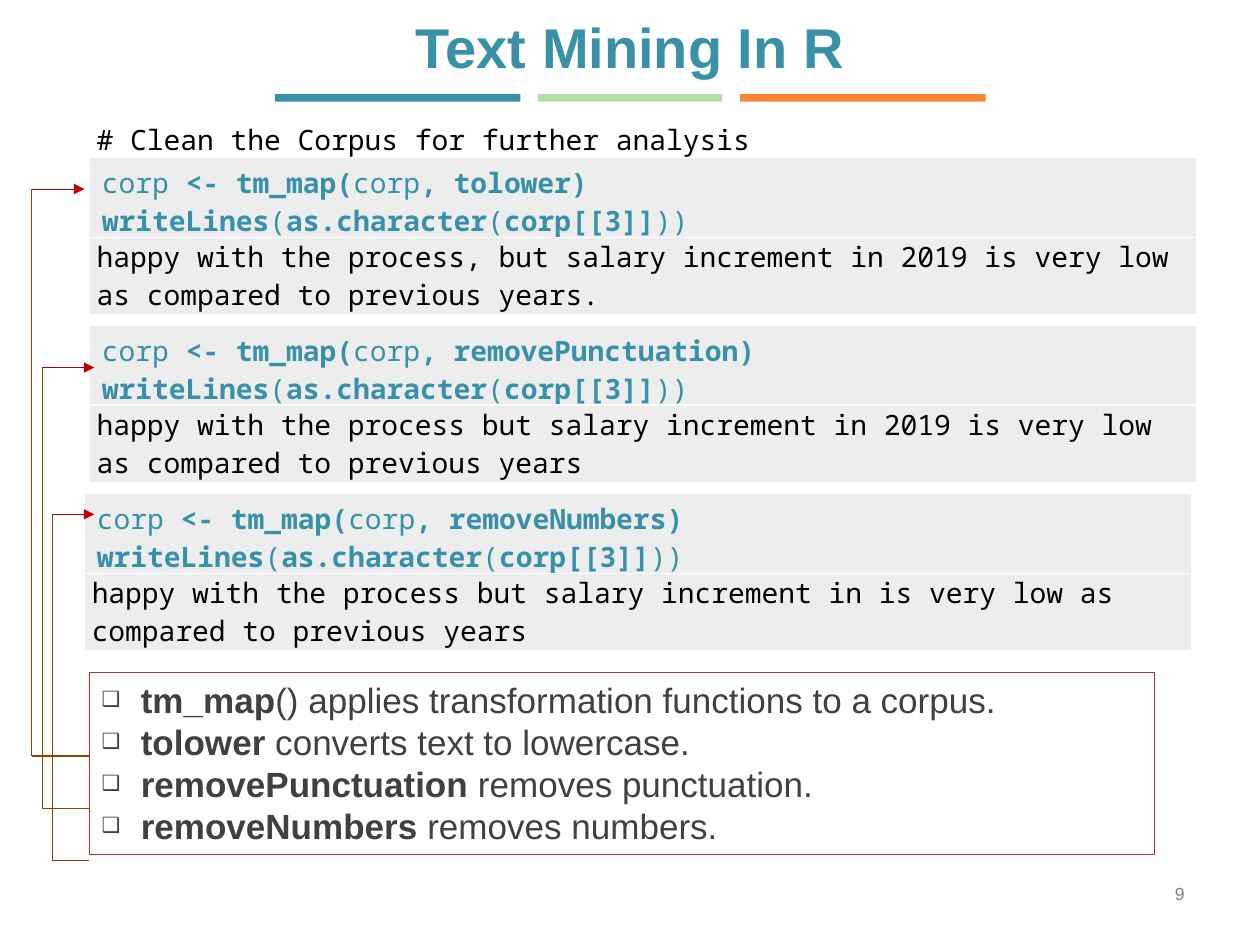
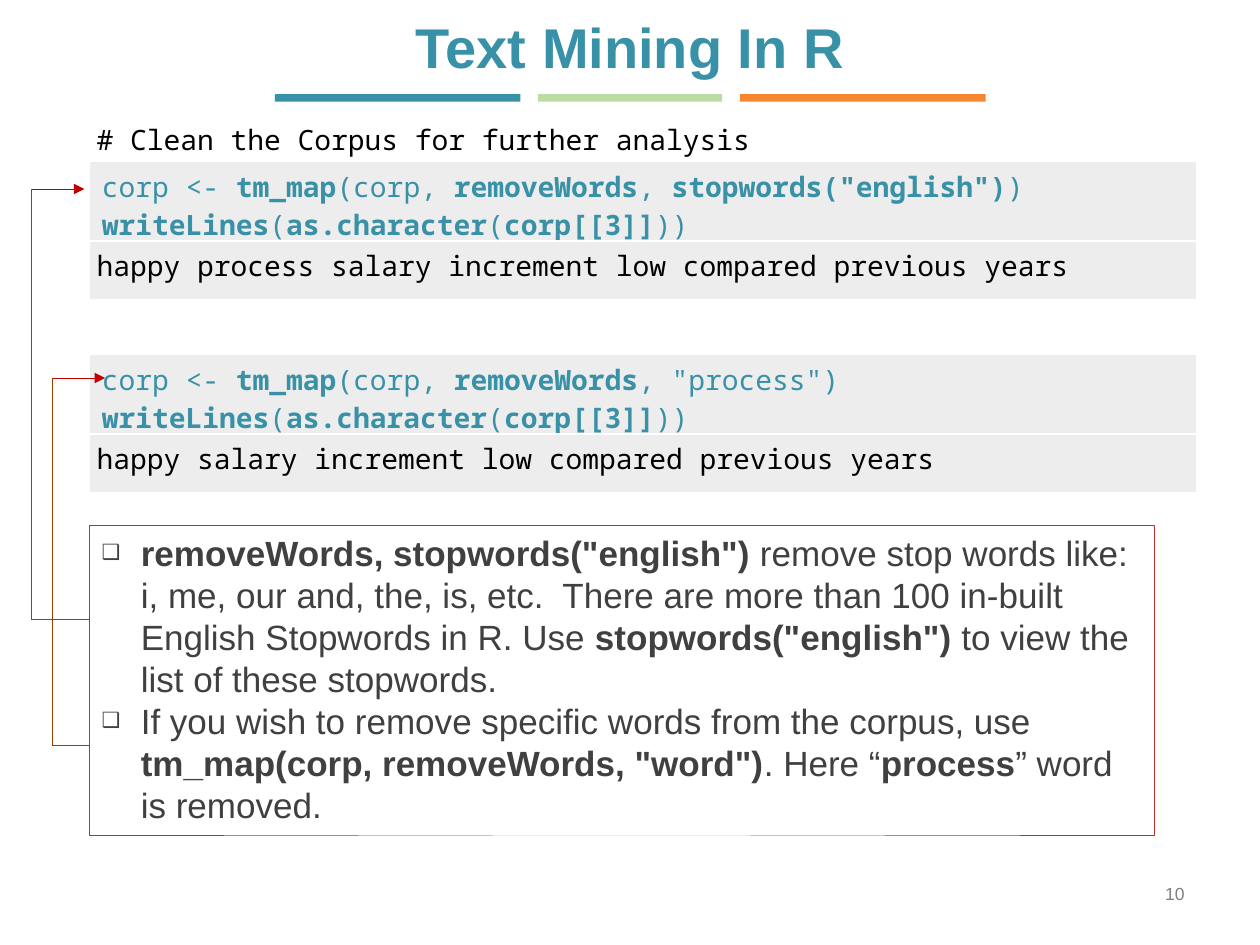
"""Build two slides on cleaning a text corpus in R."""
from lxml import etree
from pptx import Presentation
from pptx.dml.color import RGBColor
from pptx.enum.shapes import MSO_CONNECTOR, MSO_SHAPE
from pptx.enum.text import MSO_ANCHOR, MSO_AUTO_SIZE, PP_ALIGN
from pptx.oxml.ns import qn
from pptx.util import Cm, Pt

RECT = MSO_SHAPE.RECTANGLE
LINE = MSO_CONNECTOR.STRAIGHT
TOP, MID = MSO_ANCHOR.TOP, MSO_ANCHOR.MIDDLE
LEFT, RIGHT, CENTER = PP_ALIGN.LEFT, PP_ALIGN.RIGHT, PP_ALIGN.CENTER
GROW = MSO_AUTO_SIZE.SHAPE_TO_FIT_TEXT


class Theme:
    teal = RGBColor.from_string("3891A7")
    green = RGBColor.from_string("BBDDA3")
    orange = RGBColor.from_string("F88631")
    white = RGBColor.from_string("FFFFFF")
    black = RGBColor.from_string("000000")
    gray = RGBColor.from_string("808080")
    dark = RGBColor.from_string("404040")
    cell = RGBColor.from_string("A6A6A6")
    frame = RGBColor.from_string("C32D2E")
    arrow = RGBColor.from_string("C00000")
    brown = RGBColor.from_string("964101")
    title = {"name": "Arial", "size": Pt(32)}
    body = {"name": "Arial", "size": Pt(20)}
    page = {"name": "Arial", "size": Pt(10)}
    code = {"name": "Noto Sans Mono", "size": Pt(16)}


def add(node, tag, **attrs):
    """Append a drawing element to a node."""
    return etree.SubElement(node, qn(tag), attrs)


def write(frame, lines, form, color, align=LEFT, bullet=None):
    """Fill a text frame; asterisks switch bold on and off."""
    for num, line in enumerate(lines):
        para = frame.add_paragraph() if num else frame.paragraphs[0]
        para.alignment = align
        if bullet:
            props = para._p.get_or_add_pPr()
            props.set("marL", str(Cm(0.79)))
            props.set("indent", str(Cm(-0.79)))
            add(props, "a:buSzPct", val="60000")
            add(props, "a:buFont", typeface="Arial")
            add(props, "a:buChar", char=bullet)
        for part, text in enumerate(line.split("*")):
            if text:
                run = para.add_run()
                run.text = text
                for key, val in {**form, "bold": part % 2 == 1}.items():
                    setattr(run.font, key, val)
                run.font.color.rgb = color


HEAD = "Text Mining In R"
NOTE = "# Clean the Corpus for further analysis"
PRINT = "*writeLines*(*as.character*(*corp[[3]]*))"
EDGE = 1.8
WIDE = 22.33
ROW = 1.19

pages = [
    {
        "page": "9",
        "high": 3.18,
        "code": [
            (EDGE, 3.18, "corp *<- tm_map(*corp*, tolower)*",
             "happy with the process, but salary increment in 2019 is very low "
             "as compared to previous years."),
            (EDGE, 6.56, "corp *<- tm_map(*corp*, removePunctuation)*",
             "happy with the process but salary increment in 2019 is very low "
             "as compared to previous years"),
            (1.7, 9.95, "corp *<- tm_map(*corp*, removeNumbers)*",
             "happy with the process but salary increment in is very low "
             "as compared to previous years"),
        ],
        "box": (13.55, 3.68),
        "list": [
            "*tm_map*() applies transformation functions to a corpus.",
            "*tolower* converts text to lowercase.",
            "*removePunctuation* removes punctuation.",
            "*removeNumbers* removes numbers.",
        ],
        "links": [(0.64, 3.81, 1.7, 15.24), (0.85, 7.41, 1.9, 16.3),
                  (1.06, 10.37, 1.9, 17.35)],
    },
    {
        "page": "10",
        "high": 2.79,
        "code": [
            (EDGE, 3.25,
             'corp <- *tm_map*(corp, *removeWords*, *stopwords("english")*)',
             "happy process salary increment low compared previous years"),
            (EDGE, 7.14, 'corp <- *tm_map*(corp, *removeWords*, "process")',
             "happy salary increment low compared previous years"),
        ],
        "box": (10.58, 6.25),
        "list": [
            '*removeWords, stopwords("english") *remove stop words like: '
            "i, me, our and, the, is, etc.  There are more than 100 in-built "
            'English Stopwords in R. Use *stopwords("english") *to view the '
            "list of these stopwords.",
            "If you wish to remove specific words from the corpus, use "
            '*tm_map(corp, removeWords, "word")*. Here “*process*” word '
            "is removed.",
        ],
        "links": [(0.64, 3.81, 1.7, 12.49), (1.06, 7.62, 2.12, 15.03)],
    },
]

deck = Presentation()
deck.slide_width, deck.slide_height = Cm(25.4), Cm(19.05)

for page in pages:
    shapes = deck.slides.add_slide(deck.slide_layouts[6]).shapes

    labels = [
        ((1.27, -0.2, 22.86, 2.26), f"*{HEAD}*", Theme.title, Theme.teal, CENTER, MID),
        ((18.21, 17.35, 5.92, 1.32), page["page"], Theme.page, Theme.gray, RIGHT, MID),
        ((1.7, 2.34, 21.79, 0.94), NOTE, Theme.code, Theme.black, LEFT, TOP),
    ]
    for area, text, form, color, align, anchor in labels:
        frame = shapes.add_textbox(*map(Cm, area)).text_frame
        frame.word_wrap = True
        frame.vertical_anchor = anchor
        write(frame, [text], form, color, align)

    left = 5.54
    for width, color in ((4.95, Theme.teal), (3.71, Theme.green), (4.95, Theme.orange)):
        bar = shapes.add_shape(RECT, Cm(left), Cm(1.9), Cm(width), Cm(0.15))
        bar.shadow.inherit = False
        bar.fill.solid()
        bar.fill.fore_color.rgb = color
        bar.line.fill.background()
        left += width + 0.36

    for left, top, call, result in page["code"]:
        grid = shapes.add_table(2, 1, Cm(left), Cm(top), Cm(WIDE), Cm(page["high"]))
        table = grid.table
        table.first_row = table.horz_banding = False
        for row in table.rows:
            row.height = Cm(ROW)
        grid.height = Cm(page["high"])
        code, out = table.cell(0, 0), table.cell(1, 0)
        write(code.text_frame, [call, PRINT], Theme.code, Theme.teal)
        write(out.text_frame, [result], Theme.code, Theme.black)
        margins = {"margin_left": 0.15, "margin_top": 0,
                   "margin_right": 0, "margin_bottom": 0.2}
        for key, val in margins.items():
            setattr(out, key, Cm(val))
        for cell in (code, out):
            cell.vertical_anchor = MID
            props = cell._tc.get_or_add_tcPr()
            for side in ("a:lnL", "a:lnR", "a:lnT", "a:lnB"):
                edge = add(props, side, w=str(Pt(1)))
                add(add(edge, "a:solidFill"), "a:srgbClr", val=str(Theme.white))
            cell.fill.solid()
            cell.fill.fore_color.rgb = Theme.cell
            tint = props.find(qn("a:solidFill")).find(qn("a:srgbClr"))
            add(tint, "a:alpha", val="20000")

    top, high = page["box"]
    box = shapes.add_shape(RECT, Cm(EDGE), Cm(top), Cm(21.46), Cm(high))
    box.shadow.inherit = False
    box.fill.solid()
    box.fill.fore_color.rgb = Theme.white
    box.line.color.rgb = Theme.frame
    box.line.width = Pt(0.25)
    frame = box.text_frame
    for key, val in {"word_wrap": True, "auto_size": GROW, "vertical_anchor": TOP}.items():
        setattr(frame, key, val)
    write(frame, page["list"], Theme.body, Theme.dark, bullet="❑")

    for lane, start, tip, end in page["links"]:
        parts = [
            ((lane, start, tip, start), Theme.arrow, 0.25, True),
            ((lane, start, lane, end), Theme.brown, 0.75, False),
            ((lane, end, EDGE, end), Theme.brown, 0.75, False),
        ]
        for ends, color, width, head in parts:
            link = shapes.add_connector(LINE, *map(Cm, ends))
            link.line.color.rgb = color
            link.line.width = Pt(width)
            if head:
                add(link.line._get_or_add_ln(), "a:tailEnd", type="triangle")
            add(link._element.spPr, "a:effectLst")

deck.save("out.pptx")
